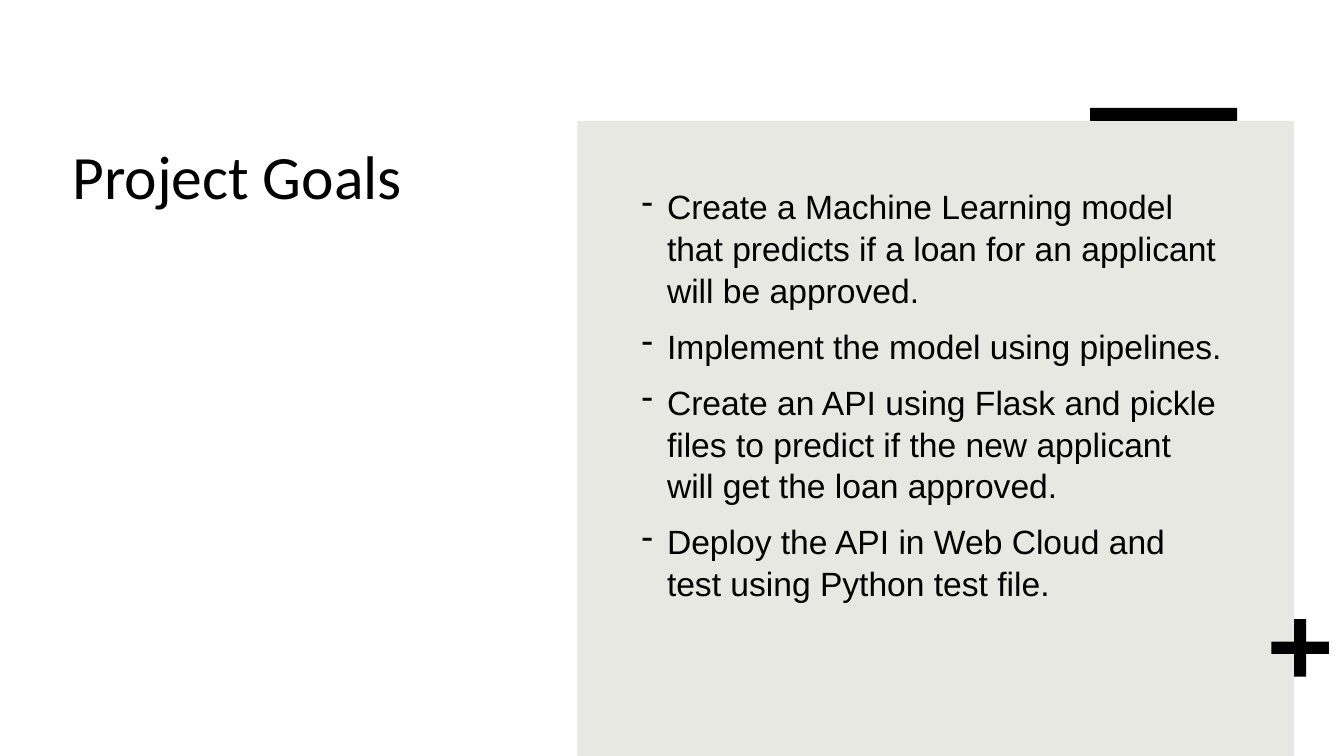
from lxml.etree import SubElement
from pptx import Presentation
from pptx.dml.color import RGBColor
from pptx.enum.shapes import MSO_SHAPE
from pptx.enum.text import MSO_ANCHOR, MSO_AUTO_SIZE, PP_ALIGN
from pptx.oxml.ns import qn
from pptx.util import Cm, Pt

INK = "000000"
PANEL = "E7E8E2"
GOALS = [
    "Create a Machine Learning model that predicts if a loan for an applicant will be approved.",
    "Implement the model using pipelines.",
    "Create an API using Flask and pickle files to predict if the new applicant will get the loan approved.",
    "Deploy the API in Web Cloud and test using Python test file.",
]
TITLE_FONT = {"name": "Calibri", "size": Pt(44), "bold": False}
GOAL_FONT = {"name": "Arial", "size": Pt(24)}
FRAME_FORMAT = {
    "word_wrap": True,
    "auto_size": MSO_AUTO_SIZE.NONE,
    "vertical_anchor": MSO_ANCHOR.TOP,
}
GOAL_FORMAT = {"space_before": Pt(10), "line_spacing": 1.04, "alignment": PP_ALIGN.LEFT}


def color(value):
    """Turn a hex string into a colour."""
    return RGBColor.from_string(value)


def apply(target, values):
    """Set every attribute named in a dict of format values."""
    for name, value in values.items():
        setattr(target, name, value)


def write(para, text, font):
    """Add a formatted span of text to a paragraph."""
    span = para.add_run()
    span.text = text
    apply(span.font, font)
    span.font.color.rgb = color(INK)


def add_block(page, kind, box, fill):
    """Add a flat filled shape without outline."""
    block = page.shapes.add_shape(kind, *map(Cm, box))
    block.shadow.inherit = False
    block.fill.solid()
    block.fill.fore_color.rgb = color(fill)
    block.line.fill.background()
    return block


def add_dash(para, indent):
    """Give a paragraph a hanging dash bullet."""
    properties = para._p.get_or_add_pPr()
    properties.set("marL", str(indent))
    properties.set("indent", str(-indent))
    SubElement(properties, qn("a:buFontTx"))
    SubElement(properties, qn("a:buChar"), char="-")


def place_title(page, text, box):
    """Move and format the title placeholder."""
    title = page.shapes.title
    apply(title, dict(zip(("left", "top", "width", "height"), map(Cm, box))))
    apply(title.text_frame, FRAME_FORMAT)
    para = title.text_frame.paragraphs[0]
    para.alignment = PP_ALIGN.LEFT
    write(para, text, TITLE_FONT)


def add_goals_panel(page, goals, box):
    """Draw the panel with its accents and the list of goals."""
    left, top, width, height = box
    add_block(page, MSO_SHAPE.RECTANGLE, box, PANEL)
    plus_box = (left + width - 0.57, top + 12.55, 1.45, 1.45)
    plus = add_block(page, MSO_SHAPE.CROSS, plus_box, INK)
    plus.adjustments[0] = 0.395
    bar_box = (left + width - 5.14, top - 0.33, 3.71, 0.33)
    add_block(page, MSO_SHAPE.RECTANGLE, bar_box, INK)

    list_box = (left + 1.37, top + 1.47, width - 2.82, height - 2.97)
    frame = page.shapes.add_textbox(*map(Cm, list_box)).text_frame
    apply(frame, FRAME_FORMAT)
    for index, goal in enumerate(goals):
        para = frame.add_paragraph() if index else frame.paragraphs[0]
        apply(para, GOAL_FORMAT)
        add_dash(para, Cm(0.64))
        write(para, goal, GOAL_FONT)


def main():
    """Build the project goals slide."""
    deck = Presentation()
    apply(deck, {"slide_width": Cm(33.87), "slide_height": Cm(19.05)})
    page = deck.slides.add_slide(deck.slide_layouts[5])
    place_title(page, "Project Goals", (1.57, 3.35, 11.43, 12.98))
    add_goals_panel(page, GOALS, (14.55, 3.05, 18.06, 16))
    deck.save("out.pptx")


if __name__ == "__main__":
    main()
